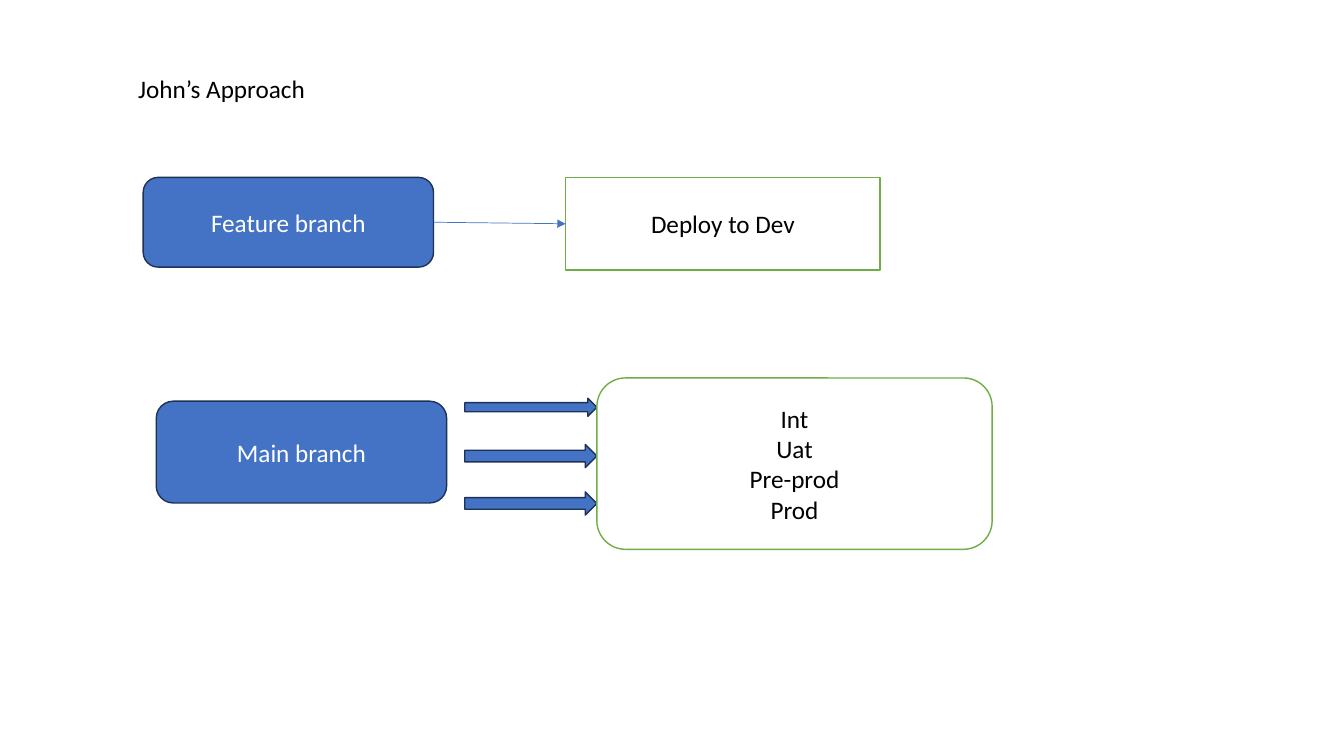
from pptx import Presentation, util as u
from pptx.dml.color import RGBColor
from pptx.enum import shapes, text
from pptx.oxml.ns import qn
from lxml import etree

# Content: lengths in px, 100 px to the inch
PX = 9144
SLIDE_SIZE = 1333, 750
FONT, FONT_SIZE = "Calibri", 18
BLUE, NAVY, GREEN, WHITE, BLACK = "4472C4", "1E3256", "70AD47", "FFFFFF", "000000"

TITLE = "John’s Approach"
TITLE_AREA = 127, 68, 302, 40

ROUND = shapes.MSO_SHAPE.ROUNDED_RECTANGLE
RECT = shapes.MSO_SHAPE.RECTANGLE
ARROW = shapes.MSO_SHAPE.RIGHT_ARROW
BRANCH = BLUE, NAVY, WHITE
TARGET = WHITE, GREEN, BLACK

FEATURE = ROUND, (142, 176, 288, 89), BRANCH, ["Feature branch"]
DEV = RECT, (561, 176, 312, 92), TARGET, ["Deploy to Dev"]
MAIN = ROUND, (155, 398, 288, 101), BRANCH, ["Main branch"]
STAGES = ROUND, (592, 375, 392, 170), TARGET, ["Int", "Uat", "Pre-prod", "Prod"]
ARROW_LEFT, ARROW_WIDTH = 461, 131
ARROW_ROWS = [(395, 18), (441, 23), (488, 23)]  # top, height


def color(value):
    return RGBColor.from_string(value)


def emu(lengths):
    return [length * PX for length in lengths]


def write(frame, lines, ink, align):
    for i, line in enumerate(lines):
        para = frame.paragraphs[0] if i == 0 else frame.add_paragraph()
        para.alignment = align
        span = para.add_run()
        span.text = line
        span.font.name = FONT
        span.font.size = u.Pt(FONT_SIZE)
        span.font.color.rgb = color(ink)


def add_box(page, kind, area, style, lines=()):
    fill, line, ink = style
    box = page.shapes.add_shape(kind, *emu(area))
    box.shadow.inherit = False
    box.fill.solid()
    box.fill.fore_color.rgb = color(fill)
    box.line.color.rgb = color(line)
    box.line.width = u.Pt(1)
    box.text_frame.word_wrap = True
    box.text_frame.vertical_anchor = text.MSO_ANCHOR.MIDDLE
    write(box.text_frame, lines, ink, text.PP_ALIGN.CENTER)
    return box


def connect(page, source, target):
    link = page.shapes.add_connector(shapes.MSO_CONNECTOR.STRAIGHT, 0, 0, 0, 0)
    link.begin_connect(source, 3)
    link.end_connect(target, 1)
    link.line.color.rgb = color(BLUE)
    link.line.width = u.Pt(0.5)
    etree.SubElement(link.line._get_or_add_ln(), qn("a:tailEnd"), type="triangle")
    etree.SubElement(link._element.spPr, qn("a:effectLst"))


def main():
    deck = Presentation()
    deck.slide_width, deck.slide_height = emu(SLIDE_SIZE)
    page = deck.slides.add_slide(deck.slide_layouts.get_by_name("Title Only"))

    # Title
    title = page.shapes.title
    title.left, title.top, title.width, title.height = emu(TITLE_AREA)
    title.text_frame.word_wrap = True
    title.text_frame.auto_size = text.MSO_AUTO_SIZE.SHAPE_TO_FIT_TEXT
    title.text_frame.vertical_anchor = text.MSO_ANCHOR.TOP
    write(title.text_frame, [TITLE], BLACK, text.PP_ALIGN.LEFT)

    # Feature branch to Dev
    feature = add_box(page, *FEATURE)
    dev = add_box(page, *DEV)
    connect(page, feature, dev)

    # Main branch to the later stages
    add_box(page, *MAIN)
    for top, height in ARROW_ROWS:
        add_box(page, ARROW, (ARROW_LEFT, top, ARROW_WIDTH, height), BRANCH)
    add_box(page, *STAGES)

    deck.save("out.pptx")


if __name__ == "__main__":
    main()
